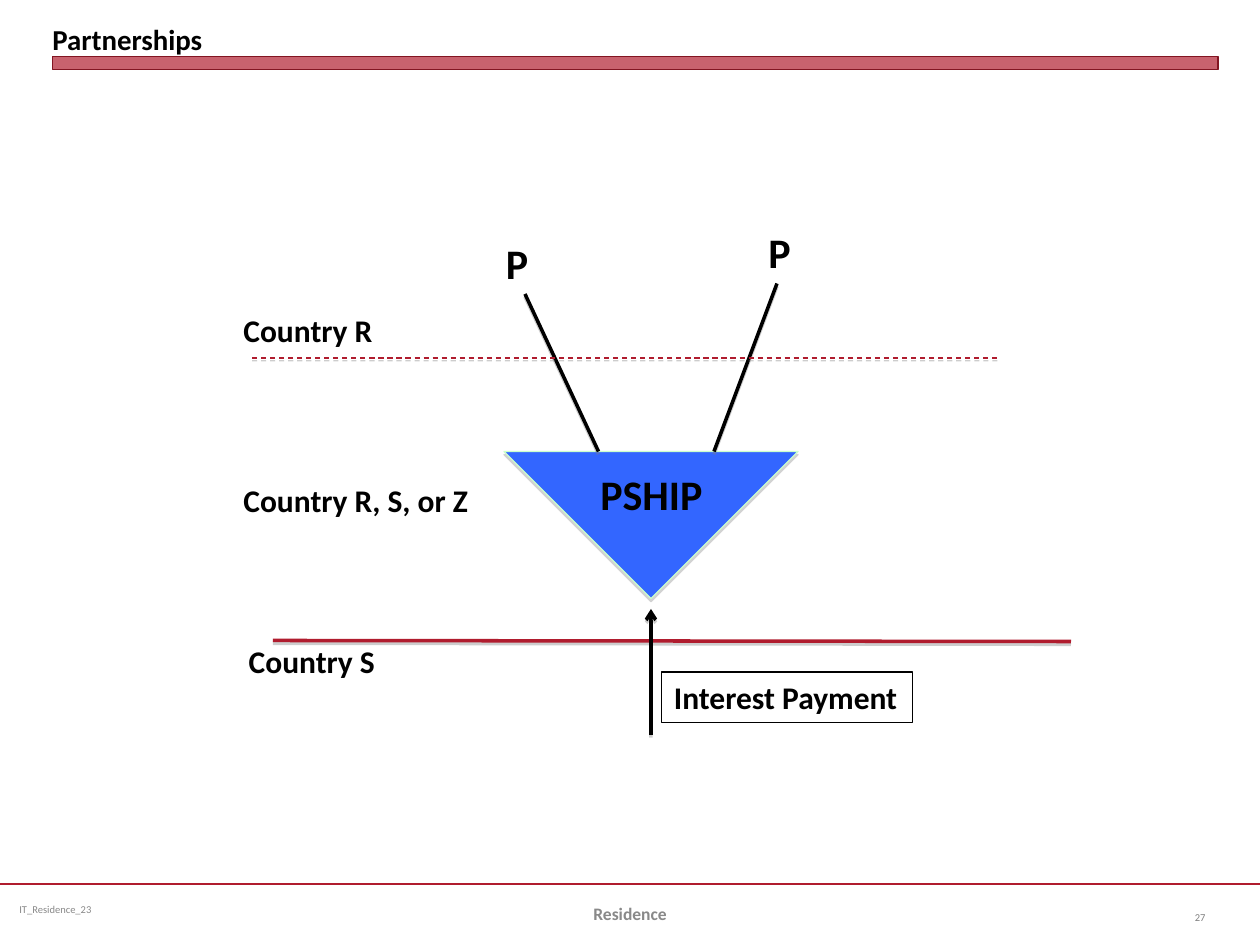
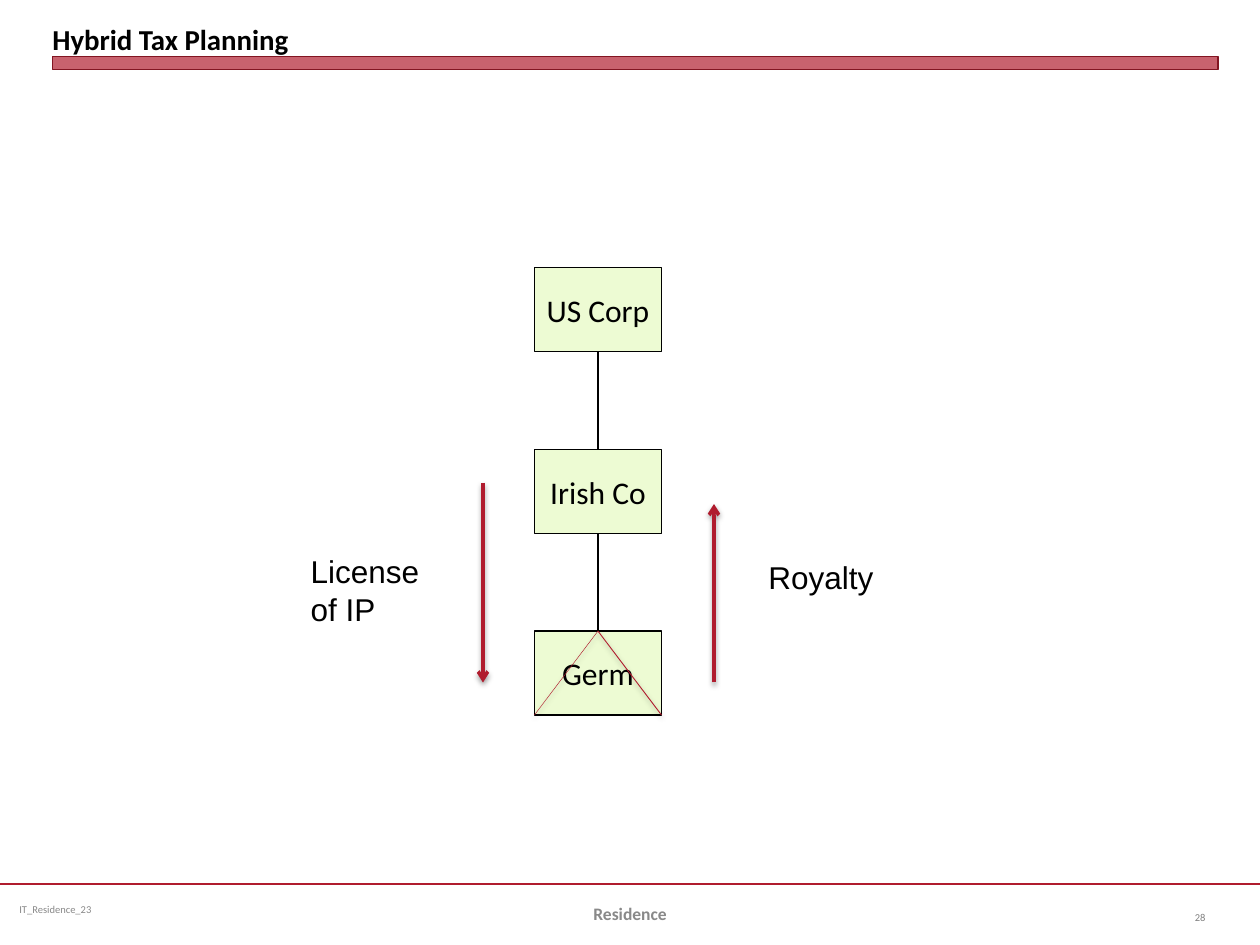
"""Build two slides on partnerships and hybrid tax planning, on a grid of 120 by 90 cells."""
from lxml import etree
from pptx import Presentation, util as u
from pptx.dml.color import RGBColor
from pptx.enum import dml, shapes, text
from pptx.oxml.ns import qn

COLUMNS, ROWS = 120, 90
CELL = u.Inches(10) // COLUMNS
LINE_HEIGHT = 4.8
BLACK, RED, DARK_RED, GREY, PAGE_GREY = "000000", "B01C2E", "821522", "898989", "808080"
BLUE, MINT, LIME = "3366FF", "CCFFCC", "EDFBD3"
LEFT, CENTER, RIGHT = text.PP_ALIGN.LEFT, text.PP_ALIGN.CENTER, text.PP_ALIGN.RIGHT
TOP, MIDDLE, BOTTOM = text.MSO_ANCHOR.TOP, text.MSO_ANCHOR.MIDDLE, text.MSO_ANCHOR.BOTTOM

# Shadows: colour, opacity in percent, blur in points, distance in points
TRIANGLE_SHADOW = ("808080", 35, 0, 1.8)
HARD_SHADOW = ("808080", 38, 0, 1.6)
SOFT_SHADOW = ("000000", 38, 3.1, 1.6)

DECK_CODE, TOPIC = "IT_Residence_23", "Residence"
PARTNERSHIPS = {
    "title": "Partnerships", "page": 27,
    "partnership": (48, 43, 28, 14),
    "lines": [
        ((26, 61), (102, 61.1), RED, 2, {}),
        ((62, 70), (62, 58), BLACK, 2, {"arrow": True}),
        ((57, 43), (50, 28), BLACK, 2, {}),
        ((68, 43), (74, 27), BLACK, 2, {}),
        ((24, 34.1), (95, 34.1), RED, 0.75, {"dashed": True}),
    ],
    "countries": [("Country S", 22.5, 60.6, 22), ("Country R", 22, 29, 22),
                  ("Country R, S, or Z", 22, 45.2, 26)],
    "parties": [("P", 47, 22, 4.6), ("P", 72, 21, 4.6), ("PSHIP", 56, 44, 12.2)],
    "payment": ("Interest Payment", (63, 64, 23.9, LINE_HEIGHT)),
}
HYBRID = {
    "title": "Hybrid Tax Planning", "page": 28,
    "companies": ["US Corp", "Irish Co", "Germ"],
    "first_company": (50.9, 25.5, 12.1, 8), "step": 17.3,
    "flows": [
        (["License", "of IP"], (28.4, 52, 12.8, 8.5), (46, 46), (46, 65)),
        (["Royalty"], (72, 52.6, 12.5, LINE_HEIGHT), (68, 65), (68, 48)),
    ],
}


def rgb(value):
    return RGBColor.from_string(value)


def cells(*values):
    return [round(value * CELL) for value in values]


def add_shadow(item, color, opacity, blur, distance):
    properties = item._element.spPr
    effects = properties.find(qn("a:effectLst"))
    if effects is None:
        effects = etree.SubElement(properties, qn("a:effectLst"))
    outer = etree.SubElement(effects, qn("a:outerShdw"), blurRad=str(u.Pt(blur)),
                             dist=str(u.Pt(distance)), dir="5400000", rotWithShape="0")
    shade = etree.SubElement(outer, qn("a:srgbClr"), val=color)
    etree.SubElement(shade, qn("a:alpha"), val=str(opacity * 1000))


def write(shape, lines, size, color=BLACK, bold=False, font="Calibri",
          align=LEFT, anchor=TOP, wrap=True, insets=None):
    frame = shape.text_frame
    frame.word_wrap, frame.vertical_anchor = wrap, anchor
    if insets:
        frame.margin_left = frame.margin_right = u.Inches(insets[0])
        frame.margin_top = frame.margin_bottom = u.Inches(insets[1])
    for index, line in enumerate(lines):
        paragraph = frame.add_paragraph() if index else frame.paragraphs[0]
        paragraph.text, paragraph.alignment = line, align
        paragraph.font.name, paragraph.font.size = font, u.Pt(size)
        paragraph.font.bold = bold
        paragraph.font.color.rgb = rgb(color)


def add_text(slide, lines, place, size, **style):
    box = slide.shapes.add_textbox(*cells(*place))
    write(box, lines, size, **style)
    return box


def add_outline(shape, color, width):
    shape.line.color.rgb, shape.line.width = rgb(color), u.Pt(width)


def add_block(slide, kind, place, fill, outline, width):
    block = slide.shapes.add_shape(kind, *cells(*place))
    block.shadow.inherit = False
    block.fill.solid()
    block.fill.fore_color.rgb = rgb(fill)
    add_outline(block, outline, width)
    return block


def add_line(slide, start, end, color, width, shadow=None, arrow=False, dashed=False):
    line = slide.shapes.add_connector(shapes.MSO_CONNECTOR.STRAIGHT, *cells(*start, *end))
    add_outline(line, color, width)
    if dashed:
        line.line.dash_style = dml.MSO_LINE.DASH
    if arrow:
        etree.SubElement(line._element.spPr.get_or_add_ln(), qn("a:tailEnd"), type="arrow")
    if shadow:
        add_shadow(line, *shadow)
    else:
        etree.SubElement(line._element.spPr, qn("a:effectLst"))
    return line


def add_page(deck, content):
    slide = deck.slides.add_slide(deck.slide_layouts[6])
    add_line(slide, (0, 84.2), (COLUMNS, 84.2), RED, 1.25)
    add_text(slide, [DECK_CODE], (1, 84.2, 31, LINE_HEIGHT), 6, color=GREY,
             anchor=MIDDLE, insets=(0.07, 0.04))
    band = add_block(slide, shapes.MSO_SHAPE.RECTANGLE, (5, 5.4, 111, 1.2), RED, DARK_RED, 0)
    tint = band._element.spPr.find(qn("a:solidFill"))[0]
    etree.SubElement(tint, qn("a:alpha"), val="69000")
    add_text(slide, [content["title"]], (5, 0.6, 111, LINE_HEIGHT), 16.5, bold=True,
             anchor=BOTTOM, insets=(0, 0))
    add_text(slide, [TOPIC], (41, 84.6, 38, LINE_HEIGHT), 10, color=GREY, bold=True,
             align=CENTER, anchor=MIDDLE)
    add_text(slide, [str(content["page"])], (110, 85, 6, LINE_HEIGHT), 6, color=PAGE_GREY,
             align=RIGHT, anchor=MIDDLE)
    return slide


def add_partnerships(deck, content):
    slide = add_page(deck, content)
    partnership = add_block(slide, shapes.MSO_SHAPE.ISOSCELES_TRIANGLE,
                            content["partnership"], BLUE, MINT, 0.75)
    partnership._element.spPr.find(qn("a:xfrm")).set("flipV", "1")
    add_shadow(partnership, *TRIANGLE_SHADOW)
    for start, end, color, width, style in content["lines"]:
        add_line(slide, start, end, color, width, HARD_SHADOW, **style)
    for name, left, top, width in content["countries"]:
        add_text(slide, [name], (left, top, width, LINE_HEIGHT), 18, bold=True)
    for name, left, top, width in content["parties"]:
        add_text(slide, [name], (left, top, width, 6.1), 24, bold=True, wrap=False)
    label, place = content["payment"]
    payment = add_text(slide, [label], place, 18, bold=True, wrap=False)
    add_outline(payment, BLACK, 0.75)


def add_hybrid(deck, content):
    slide = add_page(deck, content)
    left, first_top, width, height = content["first_company"]
    companies = []
    for index, name in enumerate(content["companies"]):
        top = first_top + index * content["step"]
        company = add_block(slide, shapes.MSO_SHAPE.FLOWCHART_PROCESS,
                            (left, top, width, height), LIME, BLACK, 0.75)
        write(company, [name], 18, align=CENTER, anchor=MIDDLE, wrap=False)
        companies.append(company)
    for parent, child in zip(companies, companies[1:]):
        ownership = add_line(slide, (0, 0), (0, 0), BLACK, 0.75)
        ownership.begin_connect(parent, 2)
        ownership.end_connect(child, 0)
    apex = (left + width / 2, top)
    for corner, weight in ((left, 0.25), (left + width, 0.5)):
        side = add_line(slide, apex, (corner, top + height), RED, weight, SOFT_SHADOW)
        side.begin_connect(companies[-1], 0)
    for label, place, start, end in content["flows"]:
        add_line(slide, start, end, RED, 2, SOFT_SHADOW, arrow=True)
        add_text(slide, label, place, 18, font="Arial", wrap=False)


def main():
    deck = Presentation()
    deck.slide_width, deck.slide_height = COLUMNS * CELL, ROWS * CELL
    add_partnerships(deck, PARTNERSHIPS)
    add_hybrid(deck, HYBRID)
    deck.save("out.pptx")


if __name__ == "__main__":
    main()
